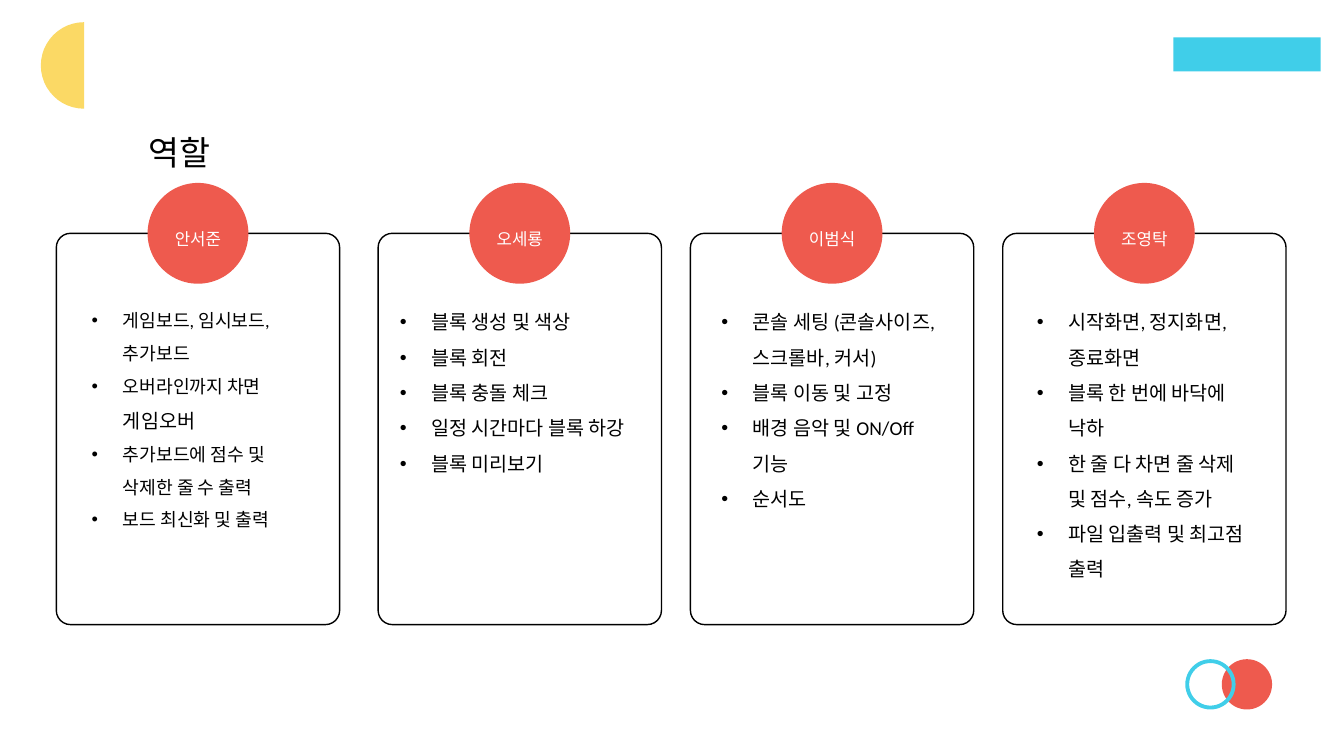
from copy import deepcopy
from dataclasses import dataclass

from lxml.etree import SubElement
from pptx import Presentation
from pptx.dml.color import RGBColor
from pptx.enum.shapes import MSO_SHAPE
from pptx.enum.text import MSO_ANCHOR, MSO_AUTO_SIZE, PP_ALIGN
from pptx.oxml.ns import qn
from pptx.util import Cm, Pt


@dataclass(frozen=True)
class Theme:
    """Colours and type sizes of the slide."""

    font: str = "Calibri"
    ink: RGBColor = RGBColor(0x00, 0x00, 0x00)
    paper: RGBColor = RGBColor(0xFF, 0xFF, 0xFF)
    red: RGBColor = RGBColor(0xEE, 0x5A, 0x4E)
    blue: RGBColor = RGBColor(0x40, 0xCE, 0xE9)
    yellow: RGBColor = RGBColor(0xFB, 0xD9, 0x65)
    title_size: int = 24
    body_size: int = 14
    compact_size: int = 13
    name_size: int = 12
    spacing: float = 1.5


THEME = Theme()


@dataclass(frozen=True)
class Member:
    """A team member, the tasks, and where the card and its text stand in cm."""

    name: str
    left: float
    text_offset: float
    tasks: tuple
    text_width: float = 6.05
    size: int = THEME.body_size
    enlarged_line: str = ""


MEMBERS = (
    Member("안서준", 1.42, 0.64, (
        "게임보드, 임시보드, \n추가보드",
        "오버라인까지 차면 \n게임오버",
        "추가보드에 점수 및 \n삭제한 줄 수 출력",
        "보드 최신화 및 출력",
    ), size=THEME.compact_size, enlarged_line="게임오버"),
    Member("오세룡", 9.53, 0.3, (
        "블록 생성 및 색상",
        "블록 회전",
        "블록 충돌 체크",
        "일정 시간마다 블록 하강",
        "블록 미리보기",
    ), text_width=6.83),
    Member("이범식", 17.4, 0.53, (
        "콘솔 세팅 (콘솔사이즈, 스크롤바, 커서)",
        "블록 이동 및 고정",
        "배경 음악 및 ON/Off 기능",
        "순서도",
    )),
    Member("조영탁", 25.27, 0.61, (
        "시작화면, 정지화면, \n종료화면",
        "블록 한 번에 바닥에 낙하",
        "한 줄 다 차면 줄 삭제 및 점수, 속도 증가",
        "파일 입출력 및 최고점 출력",
    )),
)


def add_figure(slide, kind, box, fill=None, line=None, line_width=1):
    """Add a flat preset shape in a box given in cm."""
    shape = slide.shapes.add_shape(kind, *(Cm(length) for length in box))
    shape.shadow.inherit = False
    if fill is None:
        shape.fill.background()
    else:
        shape.fill.solid()
        shape.fill.fore_color.rgb = fill
    if line is None:
        shape.line.fill.background()
    else:
        shape.line.color.rgb = line
        shape.line.width = Pt(line_width)
    return shape


def add_run(paragraph, text, size, color=THEME.ink):
    """Add one run of text in the theme font."""
    run = paragraph.add_run()
    run.text = text
    run.font.name = THEME.font
    run.font.size = Pt(size)
    run.font.color.rgb = color
    return run


def add_break(paragraph, run):
    """Add a line break formatted like the run before it."""
    paragraph.add_line_break()
    paragraph._p.findall(qn("a:br"))[-1].append(deepcopy(run.font._element))


def add_bullet(paragraph):
    """Give a paragraph a hanging round bullet."""
    properties = paragraph._p.get_or_add_pPr()
    properties.set("marL", str(Cm(0.79)))
    properties.set("indent", str(-Cm(0.79)))
    SubElement(properties, qn("a:buFont"), typeface="Arial")
    SubElement(properties, qn("a:buChar"), char="•")


def add_title(slide, text, box):
    """Place and format the title placeholder."""
    title = slide.shapes.title
    title.left, title.top, title.width, title.height = (Cm(length) for length in box)
    frame = title.text_frame
    frame.word_wrap = True
    frame.auto_size = MSO_AUTO_SIZE.NONE
    frame.vertical_anchor = MSO_ANCHOR.TOP
    paragraph = frame.paragraphs[0]
    paragraph.alignment = PP_ALIGN.LEFT
    paragraph.line_spacing = THEME.spacing
    add_run(paragraph, text, THEME.title_size)


def add_tasks(slide, member, box):
    """Add the bulleted tasks of a member."""
    frame = slide.shapes.add_textbox(*(Cm(length) for length in box)).text_frame
    frame.word_wrap = True
    frame.auto_size = MSO_AUTO_SIZE.SHAPE_TO_FIT_TEXT
    for index, task in enumerate(member.tasks):
        paragraph = frame.add_paragraph() if index else frame.paragraphs[0]
        add_bullet(paragraph)
        paragraph.line_spacing = THEME.spacing
        run = None
        for line in task.split("\n"):
            if run is not None:
                add_break(paragraph, run)
            enlarged = line == member.enlarged_line
            run = add_run(paragraph, line, THEME.body_size if enlarged else member.size)


def add_badge(slide, name, box):
    """Add the round badge with a member's name."""
    badge = add_figure(slide, MSO_SHAPE.OVAL, box, fill=THEME.red)
    frame = badge.text_frame
    frame.margin_left = frame.margin_top = frame.margin_right = frame.margin_bottom = 0
    frame.vertical_anchor = MSO_ANCHOR.MIDDLE
    paragraph = frame.paragraphs[0]
    paragraph.alignment = PP_ALIGN.CENTER
    paragraph.line_spacing = THEME.spacing
    add_run(paragraph, name, THEME.name_size, THEME.paper)


def add_card(slide, member, box):
    """Add a member's outlined card with its tasks and badge."""
    left, top, width, height = box
    card = add_figure(slide, MSO_SHAPE.ROUNDED_RECTANGLE, box, line=THEME.ink)
    card.adjustments[0] = 0.05
    text_box = (left + member.text_offset, top + 1.52, member.text_width, height - 2.4)
    add_tasks(slide, member, text_box)
    badge = 2.54
    add_badge(slide, member.name, (left + (width - badge) / 2, top - badge / 2, badge, badge))


def add_decoration(slide, box):
    """Add the half disc, the bar and the paired rings around the edges."""
    left, top, width, height = box
    half_disc = add_figure(slide, MSO_SHAPE.CHORD, (left + 1.03, top + 0.56, 2.18, 2.18), THEME.yellow)
    half_disc.adjustments[0] = 54
    half_disc.adjustments[1] = 162
    right, bottom = left + width, top + height
    add_figure(slide, MSO_SHAPE.RECTANGLE, (right - 4.3, top + 0.94, 3.71, 0.86), THEME.blue)
    ring_top, ring = bottom - 2.39, 1.17
    add_figure(slide, MSO_SHAPE.OVAL, (right - 3.03, ring_top, ring, ring), THEME.red, THEME.red, 2.75)
    add_figure(slide, MSO_SHAPE.OVAL, (right - 3.95, ring_top, ring, ring), None, THEME.blue, 2.75)


def main():
    """Build the roles slide and save it."""
    width, height = 33.87, 19.05
    presentation = Presentation()
    presentation.slide_width, presentation.slide_height = Cm(width), Cm(height)
    slide = presentation.slides.add_slide(presentation.slide_layouts[5])
    add_decoration(slide, (0, 0, width, height))
    add_title(slide, "역할", (3.48, 2.69, 9.27, 1.8))
    for member in MEMBERS:
        add_card(slide, member, (member.left, 5.88, 7.14, 9.86))
    presentation.save("out.pptx")


if __name__ == "__main__":
    main()
